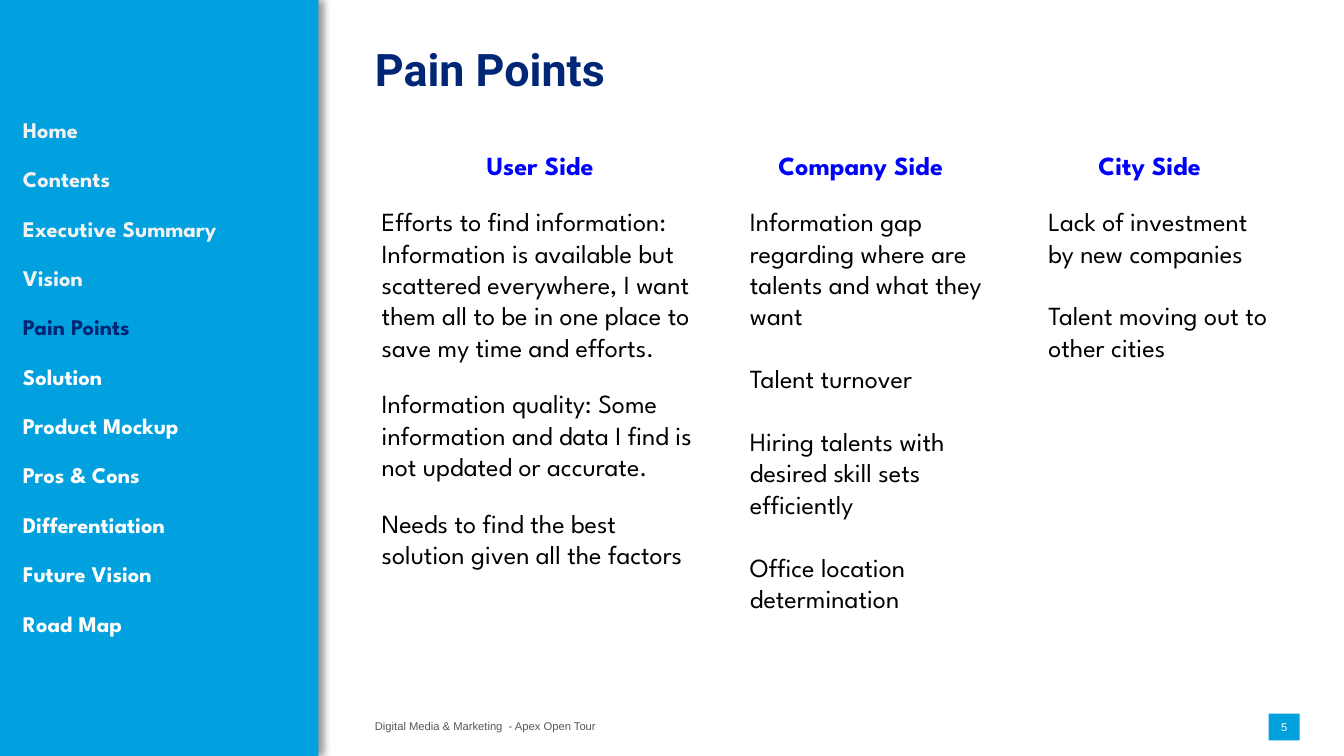
from lxml.etree import SubElement
from pptx import Presentation
from pptx.dml.color import RGBColor
from pptx.enum.shapes import MSO_SHAPE
from pptx.enum.text import MSO_ANCHOR, MSO_AUTO_SIZE, PP_ALIGN
from pptx.oxml.ns import qn
from pptx.util import Inches, Pt

# Content
TITLE = "Pain Points"
MENU = ["Home", "Contents", "Executive Summary", "Vision", "Pain Points",
        "Solution", "Product Mockup", "Pros & Cons", "Differentiation",
        "Future Vision", "Road Map"]
FIRST_BRIGHT_ITEM = "Solution"
COLUMNS = [
    {"heading": "User Side", "box": (2.74, 1.06, 2.56, 3.75),
     "indent": 0, "gap": 13.5,
     "points": ["Efforts to find information: Information is available but "
                "scattered everywhere, I want them all to be in one place to "
                "save my time and efforts.",
                "Information quality: Some information and data I find is "
                "not updated or accurate.",
                "Needs to find the best solution given all the factors"]},
    {"heading": "Company Side", "box": (5.33, 1.06, 2.15, 3.83),
     "indent": 0.15, "gap": 16.8,
     "points": ["Information gap regarding where are talents and what they want",
                "Talent turnover",
                "Hiring talents with desired skill sets efficiently",
                "Office location determination"]},
    {"heading": "City Side", "box": (7.55, 1.06, 2.01, 1.95),
     "indent": 0.15, "gap": 16.8,
     "points": ["Lack of investment by new companies",
                "Talent moving out to other cities"]},
]
FOOTER = "Digital Media & Marketing  - Apex Open Tour"
PAGE = "5"

COLORS = {"sky": "00A1DE", "navy": "002676", "blue": "0000FF",
          "black": "000000", "white": "FFFFFF", "pale": "F2F2F2",
          "gray": "575757"}
WIDTH = 10
HEIGHT = WIDTH * 9 / 16
FIRST_GAP = 13.5
INSETS = (0.08, 0.04)


def color(name):
    return RGBColor.from_string(COLORS[name])


def place(shape, box):
    shape.left, shape.top, shape.width, shape.height = map(Inches, box)


def set_frame(frame, anchor, insets, auto_size=MSO_AUTO_SIZE.NONE):
    frame.word_wrap = True
    frame.auto_size = auto_size
    frame.vertical_anchor = anchor
    frame.margin_left = frame.margin_right = Inches(insets[0])
    frame.margin_top = frame.margin_bottom = Inches(insets[1])


def style(paragraph, font, size, ink, bold=False, align=PP_ALIGN.LEFT):
    paragraph.alignment = align
    for run in paragraph.runs:
        run.font.name, run.font.size, run.font.bold = font, Pt(size), bold
        run.font.color.rgb = color(ink)


def set_list_item(paragraph, indent, before, line=1.0):
    paragraph.line_spacing = line
    paragraph.space_before = Pt(before)
    paragraph.space_after = Pt(0)
    properties = paragraph._p.get_or_add_pPr()
    properties.set("marL", str(Inches(indent)))
    properties.set("indent", "0")
    SubElement(properties, qn("a:buNone"))


def add_side_shadow(shape):
    effects = SubElement(shape._element.spPr, qn("a:effectLst"))
    shadow = SubElement(effects, qn("a:outerShdw"), blurRad=str(Pt(4)),
                        dist=str(Pt(3)), dir="0", algn="l", rotWithShape="0")
    shade = SubElement(shadow, qn("a:srgbClr"), val=COLORS["black"])
    SubElement(shade, qn("a:alpha"), val="40000")


prs = Presentation()
prs.slide_width, prs.slide_height = Inches(WIDTH), Inches(HEIGHT)
# The comparison layout has a title and four bodies: menu and three columns
slide = prs.slides.add_slide(prs.slide_layouts[4])
title, menu, *columns = [slide.placeholders[idx] for idx in range(5)]

# Title
place(title, (2.71, 0.27, 6.08, 0.48))
title.text_frame.text = TITLE
set_frame(title.text_frame, MSO_ANCHOR.MIDDLE, INSETS)
style(title.text_frame.paragraphs[0], "Roboto", 24, "navy", True)

# Sidebar menu, with the current page in navy
place(menu, (0, 0, 2.37, HEIGHT))
menu.fill.solid()
menu.fill.fore_color.rgb = color("sky")
menu.line.fill.background()
add_side_shadow(menu)
menu.text_frame.text = "\n".join(MENU)
set_frame(menu.text_frame, MSO_ANCHOR.MIDDLE, INSETS)
for i, item in enumerate(menu.text_frame.paragraphs):
    ink = "white" if i >= MENU.index(FIRST_BRIGHT_ITEM) else "pale"
    if item.text == TITLE:
        ink = "navy"
    set_list_item(item, 0.09, FIRST_GAP if i else 0, 0.9)
    style(item, "League Spartan", 12, ink, True)

# Columns: centred heading, then points
for column, content in zip(columns, COLUMNS):
    place(column, content["box"])
    column.text_frame.text = "\n".join([content["heading"], *content["points"]])
    set_frame(column.text_frame, MSO_ANCHOR.TOP, (0.1, 0.05),
              MSO_AUTO_SIZE.SHAPE_TO_FIT_TEXT)
    heading, *points = column.text_frame.paragraphs
    set_list_item(heading, 0, FIRST_GAP)
    style(heading, "League Spartan", 14, "blue", True, PP_ALIGN.CENTER)
    for i, point in enumerate(points):
        set_list_item(point, content["indent"],
                      content["gap"] if i else FIRST_GAP)
        style(point, "League Spartan", 14, "black")

# Footer
footer = slide.shapes.add_textbox(*map(Inches, (2.71, 5.31, 2.74, 0.2)))
footer.text_frame.text = FOOTER
set_frame(footer.text_frame, MSO_ANCHOR.TOP, INSETS)
style(footer.text_frame.paragraphs[0], "Arial", 6, "gray")

# Page number
page = slide.shapes.add_shape(MSO_SHAPE.RECTANGLE,
                              *map(Inches, (9.44, 5.31, 0.23, 0.2)))
page.shadow.inherit = False
page.fill.solid()
page.fill.fore_color.rgb = color("sky")
page.line.fill.background()
page.text_frame.text = PAGE
set_frame(page.text_frame, MSO_ANCHOR.MIDDLE, (0, 0.04))
style(page.text_frame.paragraphs[0], "Arial", 6, "white", align=PP_ALIGN.CENTER)

prs.save("out.pptx")
